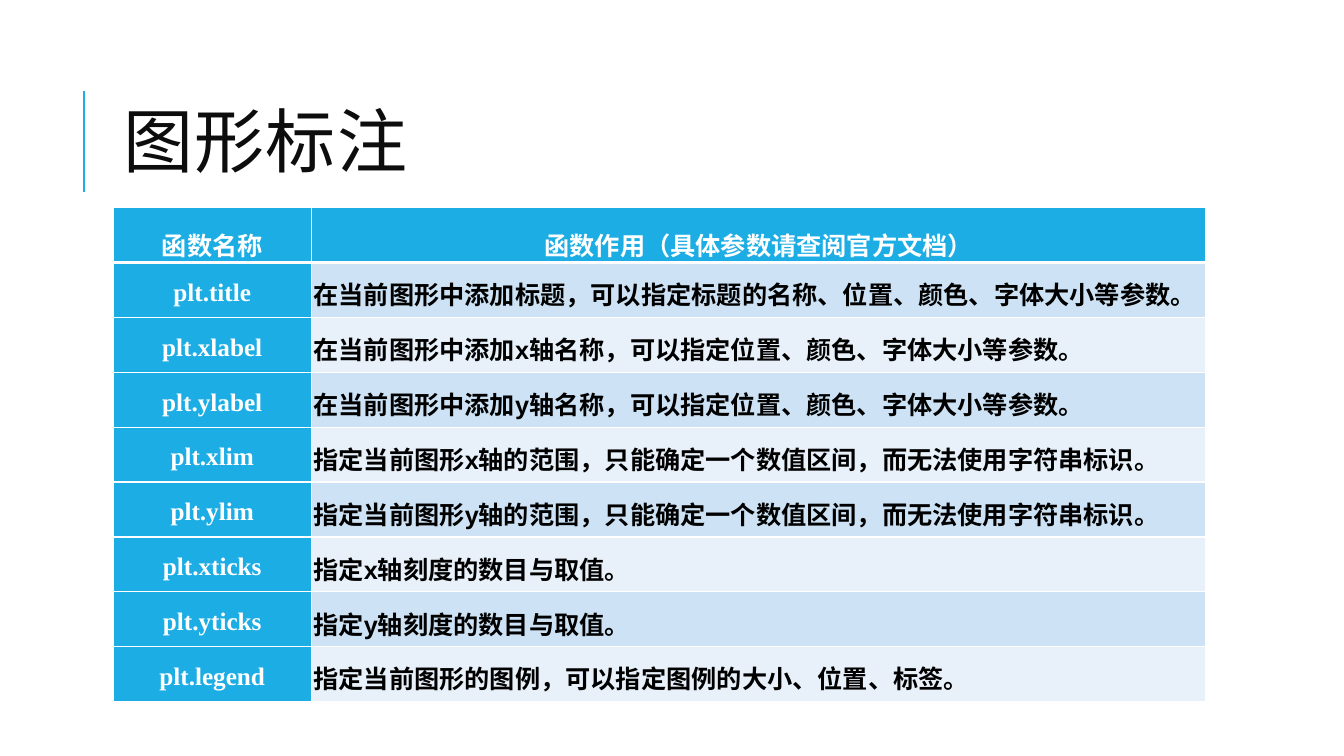
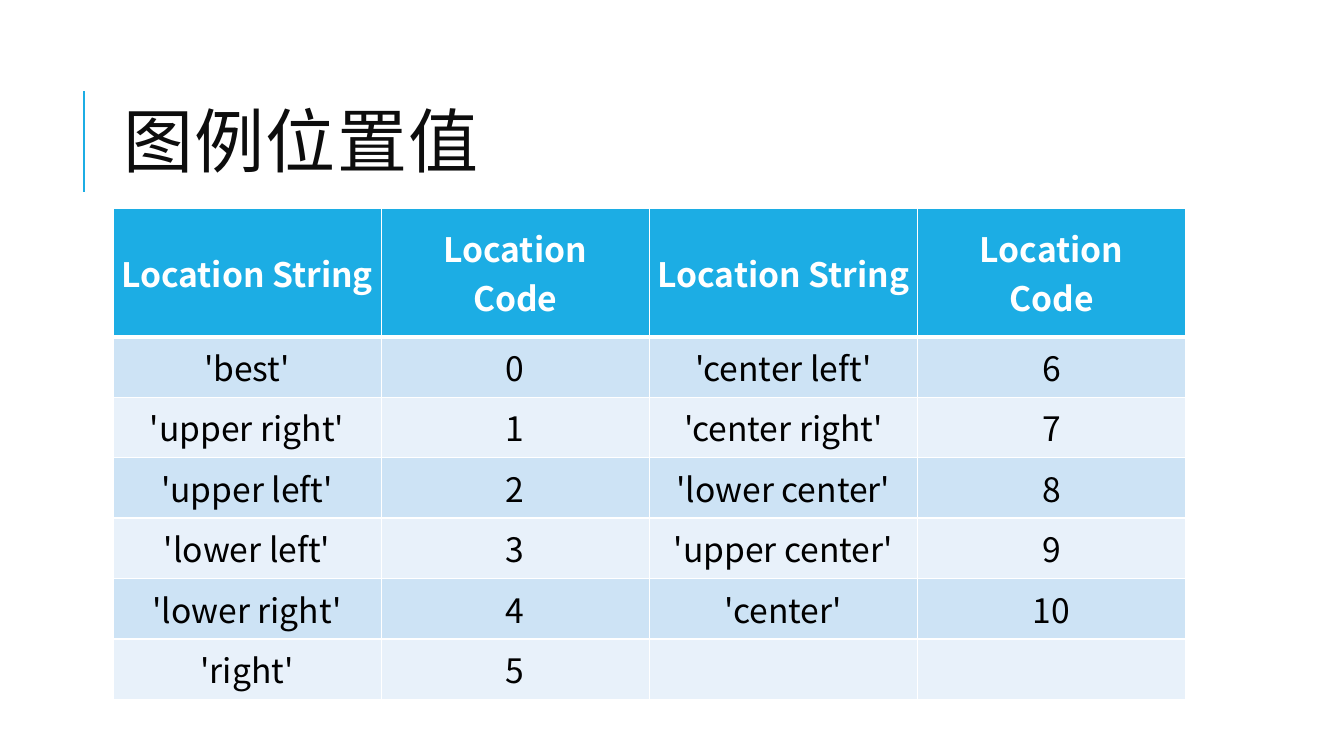
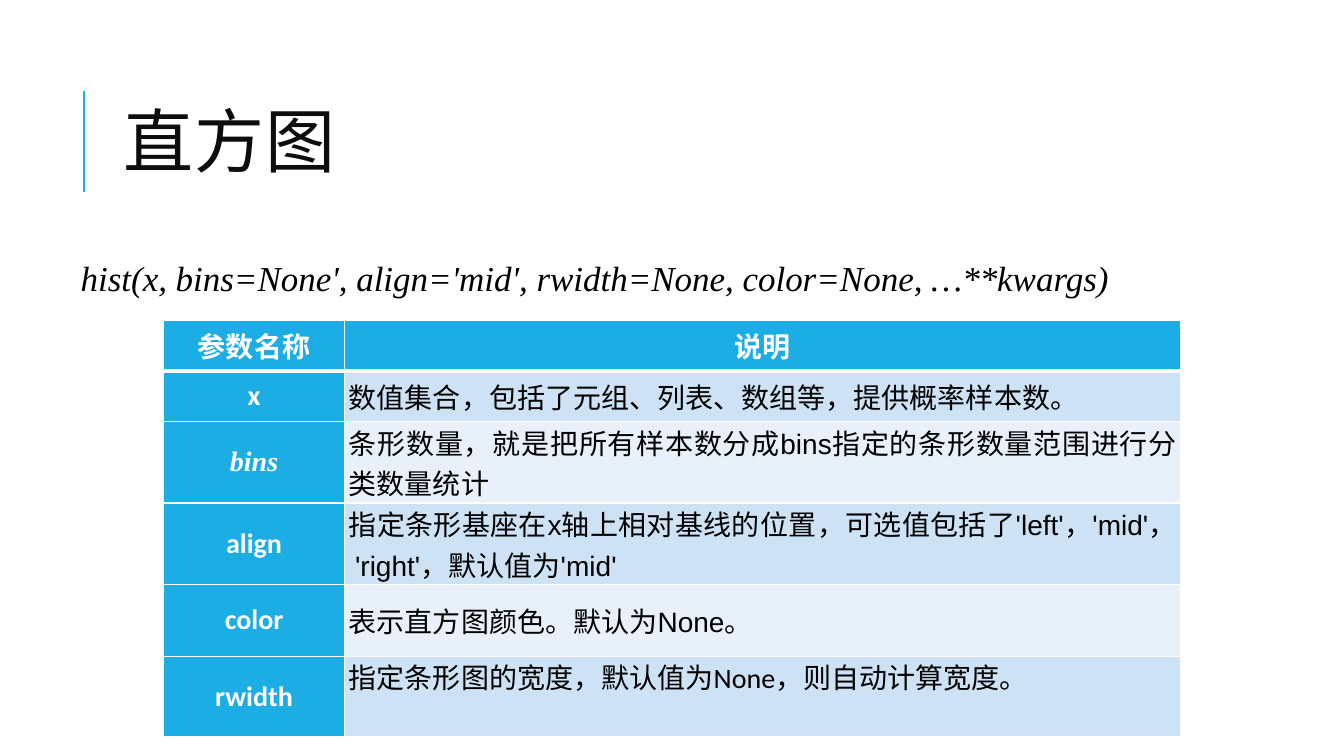
from pptx import Presentation
from pptx.dml.color import RGBColor
from pptx.enum.shapes import MSO_CONNECTOR
from pptx.enum.text import MSO_ANCHOR, MSO_AUTO_SIZE, PP_ALIGN
from pptx.oxml import parse_xml
from pptx.oxml.ns import nsdecls, qn
from pptx.util import Inches, Pt

ACCENT, WHITE, BLACK, TITLE_COLOR = "1CADE4", "FFFFFF", "000000", "0D0D0D"
BANDS = ("CDE3F5", "E8F1FA")
SANS, SERIF, ROUND, CJK = "Arial", "Times New Roman", "Calibri", "Noto Sans CJK SC"

# Text styles of table cells: font, colour, bold, alignment
HEADER = dict(font=SANS, color=WHITE, bold=True, align=PP_ALIGN.CENTER)
SERIF_NAME = dict(HEADER, font=SERIF)
ROUND_NAME = dict(HEADER, font=ROUND)
DESCRIPTION = dict(font=SANS, color=BLACK, bold=False, align=PP_ALIGN.JUSTIFY)
BOLD_DESCRIPTION = dict(DESCRIPTION, bold=True)
CJK_HEADER = dict(HEADER, font=CJK)
CJK_VALUE = dict(CJK_HEADER, color=BLACK, bold=False)

HIST_SIGNATURE = "hist(x, bins=None', align='mid', rwidth=None, color=None, …**kwargs)"

LABELS = {
    "title": "图形标注",
    "origin": (1.12, 2.06),
    "widths": [1.97, 8.87],
    "heights": [0.54] + [0.545] * 8,
    "margins": (0.02, 0),
    "size": 18,
    "spacing": (1.5, 1.2),
    "header": HEADER,
    "columns": [SERIF_NAME, BOLD_DESCRIPTION],
    "rows": [
        ("函数名称", "函数作用（具体参数请查阅官方文档）"),
        ("plt.title", "在当前图形中添加标题，可以指定标题的名称、位置、颜色、字体大小等参数。"),
        ("plt.xlabel", "在当前图形中添加x轴名称，可以指定位置、颜色、字体大小等参数。"),
        ("plt.ylabel", "在当前图形中添加y轴名称，可以指定位置、颜色、字体大小等参数。"),
        ("plt.xlim", "指定当前图形x轴的范围，只能确定一个数值区间，而无法使用字符串标识。"),
        ("plt.ylim", "指定当前图形y轴的范围，只能确定一个数值区间，而无法使用字符串标识。"),
        ("plt.xticks", "指定x轴刻度的数目与取值。"),
        ("plt.yticks", "指定y轴刻度的数目与取值。"),
        ("plt.legend", "指定当前图形的图例，可以指定图例的大小、位置、标签。"),
    ],
}

LOCATIONS = {
    "title": "图例位置值",
    "origin": (1.12, 2.07),
    "widths": [2.66] * 4,
    "heights": [1.27] + [0.6] * 6,
    "margins": (0.06, 0.03),
    "size": 24,
    "spacing": (1.0, 1.0),
    "header": CJK_HEADER,
    "columns": [CJK_VALUE] * 4,
    "rows": [
        ("Location String", "Location\nCode") * 2,
        ("'best'", "0", "'center left'", "6"),
        ("'upper right'", "1", "'center right'", "7"),
        ("'upper left'", "2", "'lower center'", "8"),
        ("'lower left'", "3", "'upper center'", "9"),
        ("'lower right'", "4", "'center'", "10"),
        ("'right'", "5", "", ""),
    ],
}

HISTOGRAM = {
    "title": "直方图",
    "origin": (1.62, 3.18),
    "widths": [1.8, 8.29],
    "heights": [0.5, 0.5, 0.81, 0.81, 0.71, 0.8],
    "margins": (0.04, 0),
    "size": 20,
    "spacing": (1.0, 1.0),
    "header": HEADER,
    "columns": [ROUND_NAME, DESCRIPTION],
    "rows": [
        ("参数名称", "说明"),
        ("x", "数值集合，包括了元组、列表、数组等，提供概率样本数。"),
        ("bins", "条形数量，就是把所有样本数分成bins指定的条形数量范围进行分类数量统计"),
        ("align", "指定条形基座在x轴上相对基线的位置，可选值包括了'left'，'mid'， 'right'，默认值为'mid'"),
        ("color", "表示直方图颜色。默认为None。"),
        ("rwidth", "指定条形图的宽度，默认值为None，则自动计算宽度。"),
    ],
}


def rgb(value):
    return RGBColor.from_string(value)


def style_layout(presentation, layout):
    """Give the layout its title style and the accent rule beside the title."""
    title = layout.placeholders[0]
    title.left, title.top = Inches(1.12), Inches(0.64)
    title.width, title.height = Inches(10.63), Inches(1.64)
    title.text_frame.vertical_anchor = MSO_ANCHOR.MIDDLE
    title.text_frame.auto_size = MSO_AUTO_SIZE.NONE
    list_style = title.element.find(qn("p:txBody")).find(qn("a:lstStyle"))
    list_style.append(parse_xml(
        f'<a:lvl1pPr {nsdecls("a")} algn="l"><a:lnSpc><a:spcPct val="80000"/></a:lnSpc>'
        f'<a:defRPr sz="5000" spc="100"><a:solidFill><a:srgbClr val="{TITLE_COLOR}"/></a:solidFill>'
        f'<a:latin typeface="{ROUND}"/><a:ea typeface="{CJK}"/></a:defRPr></a:lvl1pPr>'))

    # Layouts cannot create connectors, so the rule is made on a slide and moved
    rule = presentation.slides[0].shapes.add_connector(
        MSO_CONNECTOR.STRAIGHT, Inches(0.83), Inches(1.9), Inches(0.83), Inches(0.9))
    rule.line.color.rgb = rgb(ACCENT)
    rule.line.width = Pt(1.5)
    rule.element.spPr.append(parse_xml(f'<a:effectLst {nsdecls("a")}/>'))
    layout.shapes.element.append(rule.element)


def add_borders(cell, top, bottom):
    properties = cell._tc.get_or_add_tcPr()
    for side, points in (("L", 1), ("R", 1), ("T", top), ("B", bottom)):
        properties.append(parse_xml(
            f'<a:ln{side} {nsdecls("a")} w="{Pt(points)}"><a:solidFill>'
            f'<a:srgbClr val="{WHITE}"/></a:solidFill></a:ln{side}>'))


def fill_cell(cell, text, style, fill, content, spacing):
    cell.fill.solid()
    cell.fill.fore_color.rgb = rgb(fill)
    horizontal, vertical = content["margins"]
    cell.margin_left = cell.margin_right = Inches(horizontal)
    cell.margin_top = cell.margin_bottom = Inches(vertical)
    cell.vertical_anchor = MSO_ANCHOR.MIDDLE
    cell.text = text
    for paragraph in cell.text_frame.paragraphs:
        paragraph.alignment = style["align"]
        paragraph.line_spacing = spacing
        font = paragraph.font
        font.size, font.name, font.bold = Pt(content["size"]), style["font"], style["bold"]
        font.color.rgb = rgb(style["color"])


def add_content_table(slide, content):
    rows, widths, heights = content["rows"], content["widths"], content["heights"]
    left, top = content["origin"]
    table = slide.shapes.add_table(
        len(rows), len(widths), Inches(left), Inches(top),
        Inches(sum(widths)), Inches(sum(heights))).table
    for column, width in zip(table.columns, widths):
        column.width = Inches(width)
    for row, height in zip(table.rows, heights):
        row.height = Inches(height)
    for row_index, texts in enumerate(rows):
        is_header = row_index == 0
        for column_index, text in enumerate(texts):
            style = content["header"] if is_header else content["columns"][column_index]
            # White text marks headings, which stand on the accent colour
            fill = ACCENT if style["color"] == WHITE else BANDS[(row_index - 1) % 2]
            cell = table.cell(row_index, column_index)
            add_borders(cell, 3 if row_index == 1 else 1, 3 if is_header else 1)
            fill_cell(cell, text, style, fill, content, content["spacing"][not is_header])
    return table


def add_signature(slide):
    frame = slide.shapes.add_textbox(
        Inches(0.75), Inches(2.54), Inches(11.59), Inches(0.55)).text_frame
    frame.word_wrap = True
    frame.margin_left = frame.margin_right = Inches(0.05)
    frame.margin_top = frame.margin_bottom = Inches(0.05)
    paragraph = frame.paragraphs[0]
    paragraph.text = HIST_SIGNATURE
    paragraph.line_spacing = 0.9
    font = paragraph.font
    font.size, font.name, font.italic = Pt(25), SERIF, True
    font.color.rgb = rgb(BLACK)


def main():
    presentation = Presentation()
    presentation.slide_width, presentation.slide_height = Inches(13.33), Inches(7.5)
    layout = presentation.slide_layouts.get_by_name("Title Only")
    tables = []
    for content in (LABELS, LOCATIONS, HISTOGRAM):
        slide = presentation.slides.add_slide(layout)
        slide.shapes.title.text = content["title"]
        if content is HISTOGRAM:
            add_signature(slide)
        tables.append(add_content_table(slide, content))
    style_layout(presentation, layout)

    histogram = tables[-1]
    bins_font = histogram.cell(2, 0).text_frame.paragraphs[0].font
    bins_font.name, bins_font.italic = SERIF, True
    width_description = histogram.cell(5, 1)
    width_description.vertical_anchor = MSO_ANCHOR.TOP
    width_description.text_frame.paragraphs[0].font.name = ROUND

    presentation.save("out.pptx")


if __name__ == "__main__":
    main()
